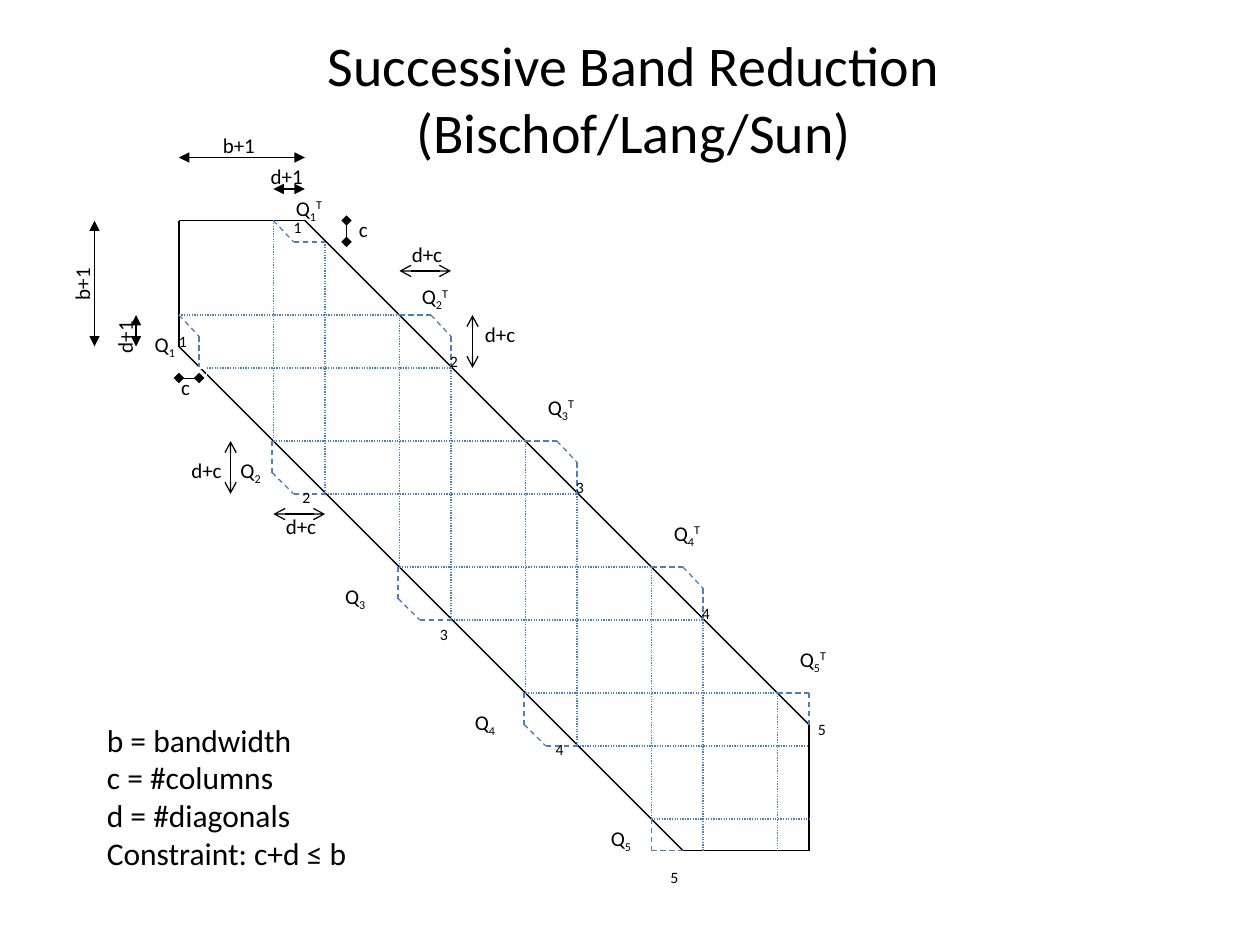
"""Build the successive band reduction diagram slide."""
from pptx import Presentation
from pptx import util as u
from pptx.dml.color import RGBColor
from pptx.enum import dml, shapes, text
from pptx.oxml.ns import qn
from lxml import etree

BLACK, BLUE, WHITE = "000000", "4B7EBC", "FFFFFF"
LEFT, TOP, RIGHT, BOTTOM = 1.42, 1.75, 6.42, 6.75
DASHED = dml.MSO_LINE.DASH
DOTTED = dml.MSO_LINE.ROUND_DOT


def colour(value):
    return RGBColor.from_string(value)


class Diagram:
    def __init__(self, slide, font="Calibri"):
        self.slide = slide
        self.font = font

    def line(self, start, end, stroke=BLACK, dash=None, ends=None, width=0.75):
        points = [u.Inches(value) for value in (*start, *end)]
        connector = self.slide.shapes.add_connector(shapes.MSO_CONNECTOR.STRAIGHT, *points)
        connector.line.color.rgb = colour(stroke)
        connector.line.width = u.Pt(width)
        if dash:
            connector.line.dash_style = dash
        properties = connector._element.spPr
        if ends:
            outline = properties.find(qn("a:ln"))
            for tag in ("a:headEnd", "a:tailEnd"):
                etree.SubElement(outline, qn(tag), type=ends)
        etree.SubElement(properties, qn("a:effectLst"))

    def polyline(self, points, stroke=BLACK, dash=None):
        for start, end in zip(points, points[1:]):
            self.line(start, end, stroke, dash)

    def label(self, left, top, width, height, lines, size=12, wrap=False, margin=0.1,
              align=text.PP_ALIGN.LEFT, rotation=0):
        shape = self.slide.shapes.add_textbox(*map(u.Inches, (left, top, width, height)))
        shape.rotation = rotation
        frame = shape.text_frame
        frame.text = lines
        frame.word_wrap = wrap
        frame.auto_size = text.MSO_AUTO_SIZE.SHAPE_TO_FIT_TEXT
        frame.margin_left = frame.margin_right = u.Inches(margin)
        for paragraph in frame.paragraphs:
            paragraph.alignment = align
            for run in paragraph.runs:
                self.style(run, size)
        return shape

    def style(self, run, size, baseline=0):
        run.font.name = self.font
        run.font.size = u.Pt(size)
        run.font.color.rgb = colour(BLACK)
        if baseline:
            run._r.get_or_add_rPr().set("baseline", str(baseline * 1000))

    def transform_label(self, left, top, index, transposed=False):
        shape = self.label(left, top, 0.47 if transposed else 0.4, 0.3, "Q")
        paragraph = shape.text_frame.paragraphs[0]
        scripts = [(str(index), -25)] + ([("T", 30)] if transposed else [])
        for content, baseline in scripts:
            run = paragraph.add_run()
            run.text = content
            self.style(run, 12, baseline)


def draw_band(diagram):
    diagram.polyline([(LEFT, TOP), (2.42, TOP), (RIGHT, 5.75), (RIGHT, BOTTOM),
                      (5.42, BOTTOM), (LEFT, 2.75), (LEFT, TOP)])
    for k in range(5):
        diagram.line((max(LEFT, 1.17 + k), 2.5 + k), (min(3.17 + k, RIGHT), 2.5 + k), BLUE, DOTTED)
        diagram.line((2.17 + k, max(TOP, 1.5 + k)), (2.17 + k, min(3.5 + k, BOTTOM)), BLUE, DOTTED)
    for k in range(4):
        diagram.line((1.58 + k, 2.92 + k), (min(3.58 + k, RIGHT), 2.92 + k), BLUE, DOTTED)
        diagram.line((2.58 + k, 1.92 + k), (2.58 + k, min(3.92 + k, BOTTOM)), BLUE, DOTTED)


def draw_bulges(diagram):
    bulges = [
        [(LEFT, 2.5), (1.58, 2.67), (1.58, 2.92)],
        [(2.17, TOP), (2.33, 1.92), (2.58, 1.92)],
        [(6.17, 5.5), (RIGHT, 5.5), (RIGHT, 5.75)],
        [(5.17, 6.5), (5.17, BOTTOM), (5.42, BOTTOM)],
    ]
    upper = [(3.17, 2.5), (3.42, 2.5), (3.58, 2.67), (3.58, 2.92)]
    lower = [(2.16, 3.5), (2.16, 3.75), (2.33, 3.92), (2.58, 3.92)]
    for k in range(3):
        bulges += [[(x + k, y + k) for x, y in bulge] for bulge in (upper, lower)]
    for bulge in bulges:
        diagram.polyline(bulge, BLUE, DASHED)


def draw_labels(diagram):
    lower_steps = [(1.42, 2.58), (2.4, 3.82), (3.49, 4.91), (4.41, 5.82), (5.32, 6.84)]
    upper_steps = [(2.33, 1.68)] + [(3.57 + k, 2.74 + k) for k in range(3)] + [(6.49, 5.66)]
    lower_transforms = [(1.13, 2.58), (1.81, 3.58), (2.64, 4.58), (3.67, 5.58), (4.75, 6.5)]
    upper_transforms = [(2.25, 1.5), (3.25, 2.2)] + [(4.25 + k, 3.08 + k) for k in range(3)]
    for steps in (lower_steps, upper_steps):
        for index, (left, top) in enumerate(steps, 1):
            diagram.label(left, top, 0.08, 0.25, str(index), size=9, wrap=True, margin=0)
    for transforms, transposed in ((lower_transforms, False), (upper_transforms, True)):
        for index, (left, top) in enumerate(transforms, 1):
            diagram.transform_label(left, top, index, transposed)


def draw_dimensions(diagram):
    dimensions = [
        ("b+1", (1.67, 1), 0, (1.42, 1.25), (2.42, 1.25), "triangle"),
        ("b+1", (0.4, 2.08), 270, (0.75, 1.75), (0.75, 2.75), "triangle"),
        ("d+1", (2.05, 1.25), 0, (2.17, 1.5), (2.42, 1.5), "triangle"),
        ("d+1", (0.74, 2.5), 270, (1.08, 2.75), (1.08, 2.5), "triangle"),
        ("c", (2.75, 1.67), 0, (2.75, 1.75), (2.75, 1.92), "diamond"),
        ("c", (1.34, 2.92), 0, (1.58, 3), (1.42, 3), "diamond"),
        ("d+c", (3.17, 1.87), 0, (3.17, 2.15), (3.58, 2.15), "arrow"),
        ("d+c", (3.75, 2.5), 0, (3.75, 2.5), (3.75, 2.92), "arrow"),
        ("d+c", (1.42, 3.58), 0, (1.83, 3.5), (1.83, 3.92), "arrow"),
        ("d+c", (2.17, 4.03), 0, (2.17, 4.08), (2.58, 4.08), "arrow"),
    ]
    for name, (left, top), rotation, start, end, ends in dimensions:
        width = 0.3 if name == "c" else 0.5
        shape = diagram.label(left, top, width, 0.3, name, rotation=rotation)
        if name == "c" and top > 2:
            shape.line.color.rgb = colour(WHITE)
            shape.line.width = u.Pt(0.75)
        diagram.line(start, end, ends=ends, width=0.25 if ends == "diamond" else 0.75)


def main():
    presentation = Presentation()
    presentation.slide_width = u.Inches(10)
    presentation.slide_height = u.Inches(7.5)
    diagram = Diagram(presentation.slides.add_slide(presentation.slide_layouts[6]))
    draw_band(diagram)
    draw_bulges(diagram)
    draw_labels(diagram)
    draw_dimensions(diagram)
    diagram.label(0.75, 5.67, 2.14, 1.31,
                  "b = bandwidth\nc = #columns\nd = #diagonals\nConstraint: c+d ≤ b", size=18)
    diagram.label(0.73, 0.19, 8.6, 0.64, "Successive Band Reduction (Bischof/Lang/Sun)",
                  size=32, wrap=True, margin=0.3, align=text.PP_ALIGN.CENTER)
    presentation.save("out.pptx")


if __name__ == "__main__":
    main()
